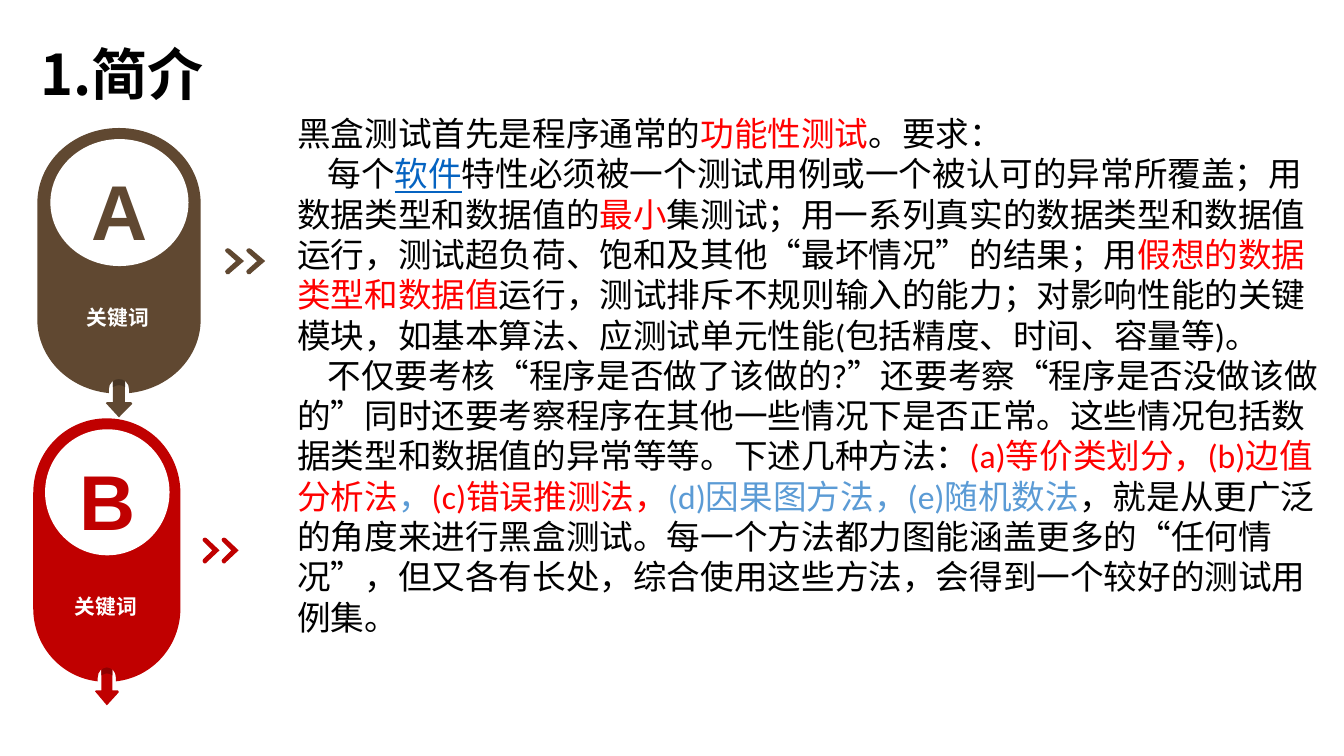
from lxml.etree import SubElement
from pptx import Presentation
from pptx.dml.color import RGBColor
from pptx.enum.shapes import MSO_SHAPE
from pptx.enum.text import MSO_ANCHOR, MSO_AUTO_SIZE, PP_ALIGN
from pptx.oxml.ns import qn
from pptx.util import Inches, Pt

# Content
HEADING = "简介"
KEYWORD = "关键词"
CJK = "Noto Sans CJK SC"
COLORS = {"black": "000000", "white": "FFFFFF", "red": "FF0000", "blue": "5B9BD5",
          "link": "0563C1", "brown": "604831", "brown_dark": "483625",
          "crimson": "C00000", "crimson_dark": "900000"}
PARAGRAPHS = [
    [("黑盒测试首先是程序通常的", "black"), ("功能性测试", "red"), ("。要求：", "black")],
    [("每个", "black"), ("软件", "link"),
     ("特性必须被一个测试用例或一个被认可的异常所覆盖；用数据类型和数据值的", "black"),
     ("最小", "red"),
     ("集测试；用一系列真实的数据类型和数据值运行，测试超负荷、饱和及其他“最坏情况”的结果；用", "black"),
     ("假想的数据类型和数据值", "red"),
     ("运行，测试排斥不规则输入的能力；对影响性能的关键模块，如基本算法、"
      "应测试单元性能(包括精度、时间、容量等)。", "black")],
    [("不仅要考核“程序是否做了该做的?”还要考察“程序是否没做该做的”"
      "同时还要考察程序在其他一些情况下是否正常。"
      "这些情况包括数据类型和数据值的异常等等。下述几种方法：", "black"),
     ("(a)等价类划分，(b)边值分析法", "red"), ("，", "blue"), ("(c)错误推测法，", "red"),
     ("(d)因果图方法，(e)随机数法", "blue"),
     ("，就是从更广泛的角度来进行黑盒测试。每一个方法都力图能涵盖更多的“任何情况”，"
      "但又各有长处，综合使用这些方法，会得到一个较好的测试用例集。", "black")],
]
# Letter, colour, then left, top, width and height of the capsule
BADGES = [("A", "brown", (0.37, 1.27, 1.62, 2.63)),
          ("B", "crimson", (0.33, 4.15, 1.46, 2.61))]

# Badge outlines on a 1.62 x 2.63 unit: pairs are line ends, sixes are Bézier curves
UNIT_W, UNIT_H = 1.62, 2.63
CAPSULE = [(1.62, 0.75), (1.62, 1.9), (1.62, 2.28, 1.31, 2.59, 0.91, 2.63), (0.91, 2.59),
           (0.91, 2.53, 0.86, 2.49, 0.81, 2.49), (0.76, 2.49, 0.71, 2.53, 0.71, 2.59),
           (0.71, 2.63), (0.31, 2.59, 0, 2.28, 0, 1.9), (0, 0.75),
           (0, 0.33, 0.36, 0, 0.81, 0), (1.26, 0, 1.62, 0.33, 1.62, 0.75)]
ARROW = [(0.87, 2.48), (0.87, 2.72), (0.93, 2.72), (0.93, 2.72, 0.94, 2.72, 0.94, 2.73),
         (0.94, 2.73, 0.94, 2.74, 0.94, 2.74), (0.81, 2.87), (0.69, 2.74),
         (0.68, 2.74, 0.68, 2.73, 0.68, 2.73), (0.69, 2.72), (0.75, 2.72), (0.75, 2.48)]
ARROW_SHADE = [(0.87, 2.48), (0.75, 2.48), (0.75, 2.57), (0.77, 2.56, 0.79, 2.55, 0.81, 2.55),
               (0.83, 2.55, 0.86, 2.56, 0.87, 2.57)]
CHEVRON = [(0.03, 0.26), (0.02, 0.26, 0.01, 0.26, 0.01, 0.25), (0, 0.24, 0, 0.23, 0.01, 0.22),
           (0.11, 0.13), (0.01, 0.04), (0, 0.03, 0, 0.02, 0.01, 0.01),
           (0.02, 0, 0.04, 0, 0.05, 0.01), (0.19, 0.13), (0.05, 0.25),
           (0.05, 0.26, 0.04, 0.26, 0.03, 0.26)]
CHEVRON_SPOTS = [(2.07, 1.19), (1.86, 1.19)]
DISC = (0.13, 0.11, 1.37, 1.26)
LABEL = (0.25, 1.72, 1.1, 0.31)


def rgb(color):
    return RGBColor.from_string(COLORS[color])


def add_run(paragraph, text, size, face, color, bold=False):
    run = paragraph.add_run()
    run.text = text
    run.font.size, run.font.name, run.font.bold = Pt(size), face, bold
    run.font.color.rgb = rgb(color)
    SubElement(run.font._element, qn("a:ea")).set("typeface", CJK)
    return run


def paint(shape, color):
    shape.fill.solid()
    shape.fill.fore_color.rgb = rgb(color)
    shape.line.fill.background()
    shape.shadow.inherit = False


def bend(shape, outline, place):
    """Turn the straight segments of curved steps into Bézier segments."""
    segments = list(shape._element.iter(qn("a:lnTo")))
    for segment, step in zip(segments, outline[1:]):
        if len(step) == 2:
            continue
        segment.tag = qn("a:cubicBezTo")
        for index, control in enumerate((step[:2], step[2:4])):
            x, y = place(*control)
            handle = SubElement(segment, qn("a:pt"))
            handle.set("x", str(x - shape.left))
            handle.set("y", str(y - shape.top))
            segment.insert(index, handle)


def add_badge(slide, letter, color, frame):
    left, top, width, height = frame
    sx, sy = width / UNIT_W, height / UNIT_H
    badge = slide.shapes.add_group_shape().shapes

    def place(x, y):
        return Inches(left + x * sx), Inches(top + y * sy)

    def box(x, y, w, h):
        return *place(x, y), Inches(w * sx), Inches(h * sy)

    def draw(outline, fill, dx=0, dy=0):
        def shifted(x, y):
            return place(x + dx, y + dy)

        ends = [shifted(*step[-2:]) for step in outline]
        builder = badge.build_freeform(*ends[0])
        builder.add_line_segments(ends[1:], close=True)
        shape = builder.convert_to_shape()
        bend(shape, outline, shifted)
        paint(shape, fill)

    for spot in CHEVRON_SPOTS:
        draw(CHEVRON, color, *spot)
    draw(ARROW, color)
    draw(ARROW_SHADE, color + "_dark")
    draw(CAPSULE, color)

    # Letter disc and keyword
    disc = badge.add_shape(MSO_SHAPE.OVAL, *box(*DISC))
    paint(disc, "white")
    label = badge.add_textbox(*box(*LABEL))
    for shape, text, size, ink, anchor, inset in (
            (disc, letter, 55.5, color, MSO_ANCHOR.TOP, 0.05),
            (label, KEYWORD, 14.8, "white", MSO_ANCHOR.MIDDLE, 0)):
        frame_text = shape.text_frame
        frame_text.word_wrap = False
        frame_text.vertical_anchor = anchor
        frame_text.margin_left = frame_text.margin_right = frame_text.margin_bottom = 0
        frame_text.margin_top = Inches(inset)
        paragraph = frame_text.paragraphs[0]
        paragraph.alignment = PP_ALIGN.CENTER
        add_run(paragraph, text, size, "Arial", ink, bold=True)


def add_heading(slide):
    title = slide.shapes.title
    title.left, title.top = Inches(-0.2), Inches(-0.14)
    title.width, title.height = Inches(7.7), Inches(1.12)
    text = title.text_frame
    text.auto_size = MSO_AUTO_SIZE.NONE
    text.word_wrap = True
    text.vertical_anchor = MSO_ANCHOR.TOP
    text.margin_top, text.margin_bottom = Inches(0.53), 0
    paragraph = text.paragraphs[0]
    paragraph.alignment = PP_ALIGN.JUSTIFY
    numbering = paragraph._p.get_or_add_pPr()
    numbering.set("marL", str(Inches(0.81)))
    numbering.set("indent", str(Inches(-0.31)))
    SubElement(numbering, qn("a:buFont")).set("typeface", CJK)
    SubElement(numbering, qn("a:buAutoNum")).set("type", "arabicPeriod")
    add_run(paragraph, HEADING, 40, CJK, "black", bold=True)


def add_body(slide):
    body = slide.shapes.add_textbox(Inches(2.85), Inches(1.07), Inches(10.48), Inches(5.35))
    text = body.text_frame
    text.word_wrap = True
    for index, pieces in enumerate(PARAGRAPHS):
        paragraph = text.add_paragraph() if index else text.paragraphs[0]
        paragraph.line_spacing = Pt(28.8)
        if index:
            paragraph._p.get_or_add_pPr().set("indent", str(Inches(0.3)))
        for words, color in pieces:
            linked = color == "link"
            run = add_run(paragraph, words, 24, CJK if linked else "Calibri", color)
            run.font.underline = linked


def main():
    deck = Presentation()
    deck.slide_width, deck.slide_height = Inches(13.33), Inches(7.5)
    slide = deck.slides.add_slide(deck.slide_layouts[5])
    for badge in BADGES:
        add_badge(slide, *badge)
    add_heading(slide)
    add_body(slide)
    deck.save("out.pptx")


if __name__ == "__main__":
    main()
